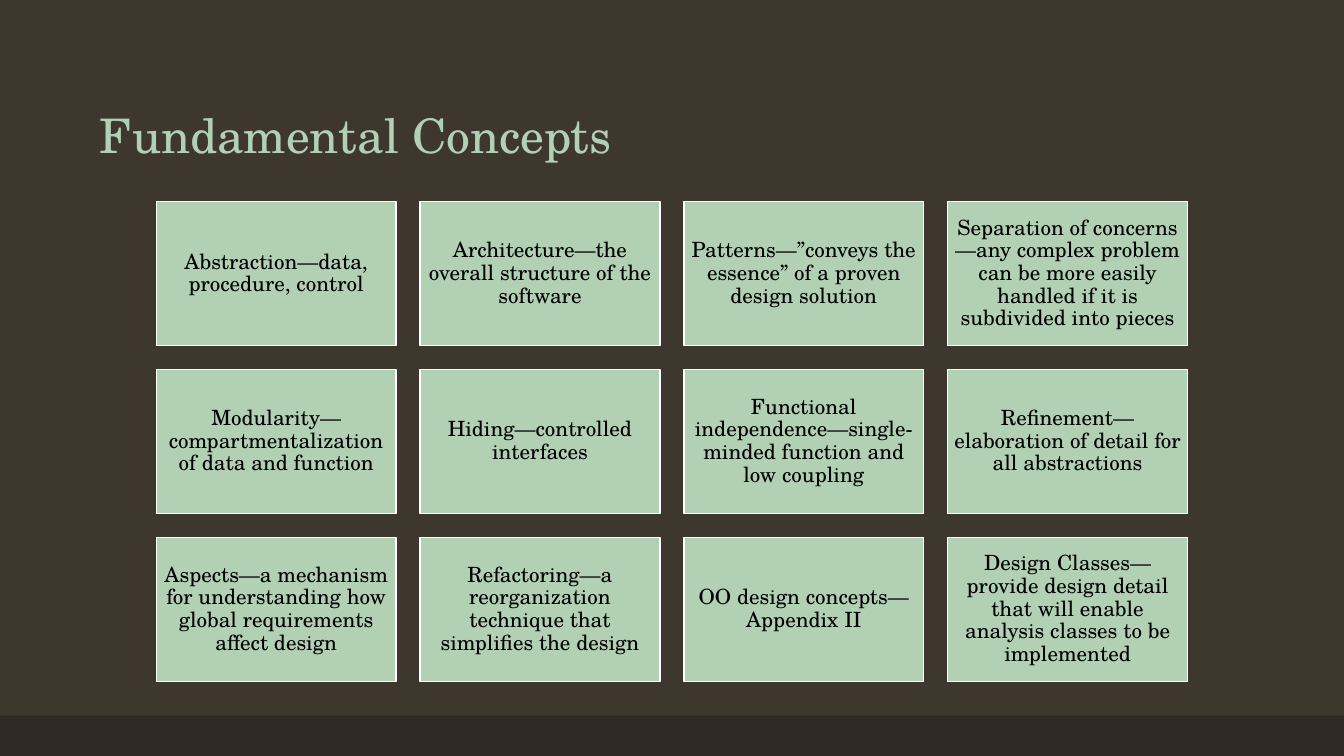
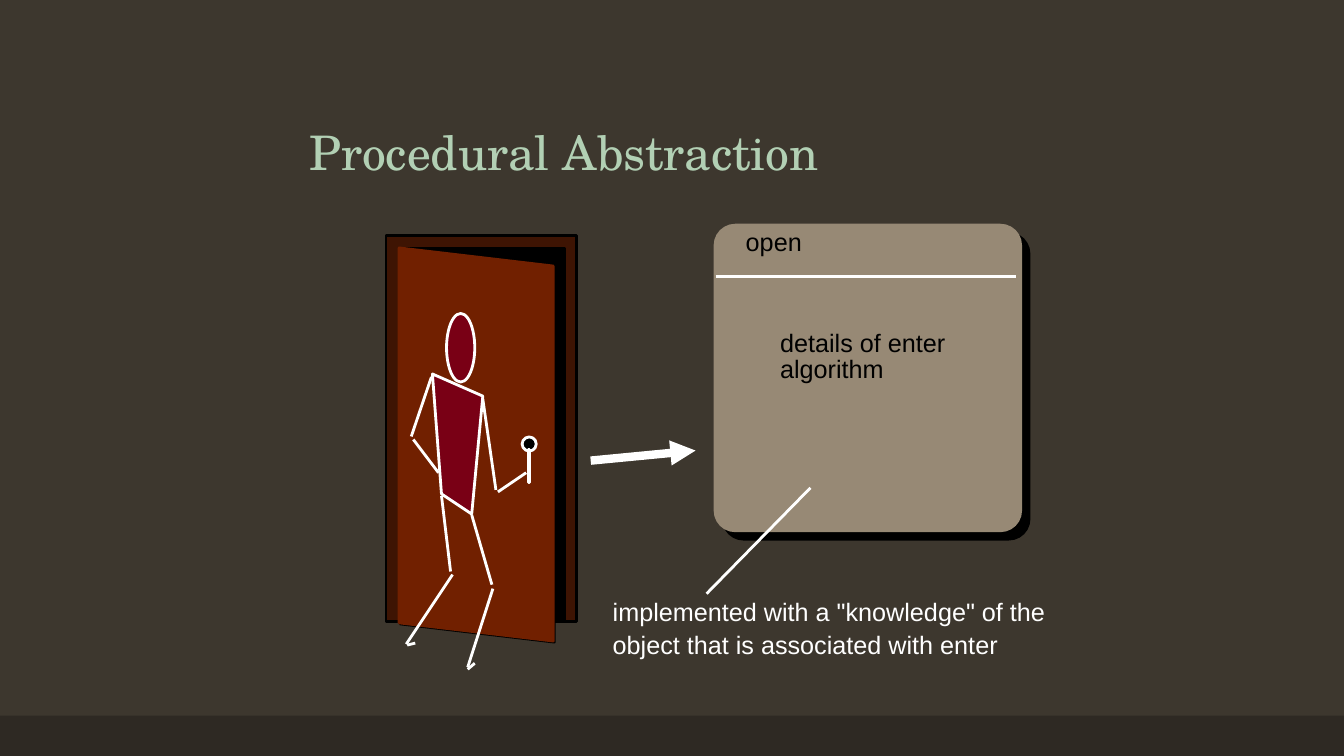
from dataclasses import dataclass
from itertools import pairwise

from lxml.etree import SubElement
from pptx import Presentation
from pptx.dml.color import RGBColor as RGB
from pptx.enum.shapes import MSO_CONNECTOR as Link, MSO_SHAPE as Kind
from pptx.enum.text import MSO_ANCHOR as Anchor, PP_ALIGN as Align
from pptx.oxml.ns import qn
from pptx.util import Inches, Pt


@dataclass(frozen=True)
class Theme:
    # Colours
    ground: str = "3D372E"
    band: str = "2E2923"
    mint: str = "B2D0B4"
    white: str = "FFFFFF"
    black: str = "000000"
    frame: str = "3E1403"
    door: str = "712000"
    body: str = "790015"
    panel: str = "978975"
    # Fonts, type sizes and line widths
    serif: str = "TeX Gyre Schola"
    sans: str = "Arial"
    title: int = 34
    card: int = 15
    label: int = 18
    thin: int = 1
    line: int = 2
    thick: int = 6


T = Theme()

# The slide is a grid of square cells, 75 rows high
WIDE, HIGH = 133.33, 75
CELL = Inches(7.5) / HIGH

CARDS = [
    "Abstraction—data, procedure, control",
    "Architecture—the overall structure of the software",
    "Patterns—”conveys the essence” of a proven design solution",
    "Separation of concerns—any complex problem can be more easily "
    "handled if it is subdivided into pieces",
    "Modularity—compartmentalization of data and function",
    "Hiding—controlled interfaces",
    "Functional independence—single-minded function and low coupling",
    "Refinement—elaboration of detail for all abstractions",
    "Aspects—a mechanism for understanding how global requirements "
    "affect design",
    "Refactoring—a reorganization technique that simplifies the design",
    "OO design concepts—Appendix II",
    "Design Classes—provide design detail that will enable analysis "
    "classes to be implemented",
]

# Limbs as pairs of points, in cells
LIMBS = [
    ((47.9, 39.6), (49.2, 48.6)),  # right arm
    ((49.4, 48.8), (52.2, 46.9)),
    ((42.8, 37.4), (40.8, 43.3)),  # left arm
    ((41, 43.6), (43.5, 46.9)),
    ((46.8, 51.1), (48.8, 58)),  # right leg
    ((48.9, 58.4), (46.4, 66.2)),
    ((46.4, 66.4), (47.1, 65.8)),
    ((43.8, 49.2), (44.7, 56.7)),  # left leg
    ((44.9, 57), (40.3, 63.9)),
    ((40.4, 64), (41.2, 63.8)),
]


def grid(*cells):
    return [round(c * CELL) for c in cells]


# Basic elements
def paint(shape, fill=None, line=None, width=T.line):
    shape.shadow.inherit = False
    for part, tone in ((shape.fill, fill), (shape.line.fill, line)):
        if tone:
            part.solid()
            part.fore_color.rgb = RGB.from_string(tone)
        else:
            part.background()
    if line:
        shape.line.width = Pt(width)
    return shape


def block(slide, box, fill=None, line=None, kind=Kind.RECTANGLE,
          width=T.line, round_by=None):
    shape = slide.shapes.add_shape(kind, *grid(*box))
    if round_by:
        shape.adjustments[0] = round_by
    return paint(shape, fill, line, width)


def outline(slide, points, fill=None, line=None):
    start, *rest = [grid(*p) for p in points]
    path = slide.shapes.build_freeform(*start, scale=1.0)
    path.add_line_segments(rest, close=True)
    return paint(path.convert_to_shape(), fill, line)


def stroke(slide, start, end, width=T.line, arrow=False):
    link = slide.shapes.add_connector(Link.STRAIGHT, *grid(*start, *end))
    link.line.color.rgb = RGB.from_string(T.white)
    link.line.width = Pt(width)
    if arrow:
        SubElement(link.line._get_or_add_ln(), qn("a:tailEnd"),
                   type="triangle")
    SubElement(link._element.spPr, qn("a:effectLst"))


def write(shape, text, size, font, tone, pad, gap=1.0,
          anchor=Anchor.TOP, align=Align.LEFT):
    frame = shape.text_frame
    frame.word_wrap = True
    frame.vertical_anchor = anchor
    side, edge = pad
    frame.margin_left = frame.margin_right = Inches(side)
    frame.margin_top = frame.margin_bottom = Inches(edge)
    para = frame.paragraphs[0]
    para.text, para.alignment, para.line_spacing = text, align, gap
    para.font.size, para.font.name = Pt(size), font
    para.font.color.rgb = RGB.from_string(tone)


# Elements of this deck
def page(deck, title, box):
    slide = deck.slides.add_slide(deck.slide_layouts[6])
    block(slide, (0, 71, WIDE, 4), T.band)
    head = slide.shapes.add_textbox(*grid(*box))
    write(head, title, T.title, T.serif, T.mint, (0.07, 0.03), 0.9,
          Anchor.BOTTOM)
    return slide


def label(slide, text, box, tone=T.black, gap=1.0):
    note = slide.shapes.add_textbox(*grid(*box))
    write(note, text, T.label, T.sans, tone, (0.1, 0.05), gap)


def cards(slide, cols=4):
    for n, text in enumerate(CARDS):
        row, col = divmod(n, cols)
        box = (15.5 + col * 26.17, 20 + row * 16.65, 23.8, 14.3)
        card = block(slide, box, T.mint, T.white, width=T.thin)
        write(card, text, T.card, T.serif, T.black, (0.06, 0.06), 0.9,
              Anchor.MIDDLE, Align.CENTER)


def door(slide):
    block(slide, (38.3, 23.4, 18.9, 38.3), T.frame, T.black)
    block(slide, (39.6, 24.6, 16.4, 37.1), T.black, T.black)
    leaf = [(39.6, 24.6), (54.9, 26.4), (54.9, 63.6), (39.6, 61.8)]
    outline(slide, [(x + 0.1, y + 0.1) for x, y in leaf], line=T.black)
    outline(slide, leaf, T.door, T.door)
    # Knob and key
    block(slide, (51.8, 43.35, 1.4, 1.4), T.black, T.white, Kind.OVAL)
    block(slide, (52.4, 44.6, 0.1, 3.3), T.black, T.white)


def person(slide):
    block(slide, (44.3, 31.1, 2.8, 6.8), T.body, T.white, Kind.OVAL)
    trunk = [(42.9, 37.1), (47.9, 39.3), (46.8, 51), (43.8, 49)]
    outline(slide, trunk, T.body, T.white)
    for start, end in LIMBS:
        stroke(slide, start, end)


def panel(slide):
    left, top, side, drop = 70.8, 22.2, 30.6, 0.83
    for shift, tone in ((drop, T.black), (0, T.panel)):
        block(slide, (left + shift, top + shift, side, side), tone,
              kind=Kind.ROUNDED_RECTANGLE, round_by=0.07)
    stroke(slide, (71, 27.4), (100.8, 27.4))
    label(slide, "open", (73, 22, 10, 4))
    label(slide, "details of enter algorithm", (76.4, 32.4, 22, 6.5),
          gap=0.87)


def main():
    deck = Presentation()
    deck.slide_width, deck.slide_height = grid(WIDE, HIGH)
    back = deck.slide_master.background.fill
    back.solid()
    back.fore_color.rgb = RGB.from_string(T.ground)

    # Concepts
    slide = page(deck, "Fundamental Concepts", (9.2, 4, 115, 12.5))
    cards(slide)

    # Abstraction
    slide = page(deck, "Procedural Abstraction", (30, 12.5, 60, 5.7))
    stroke(slide, (58.6, 45.7), (69, 44.7), T.thick, arrow=True)
    door(slide)
    person(slide)
    panel(slide)
    stroke(slide, (80.4, 48.4), (70.1, 58.9))
    label(slide, 'implemented with a "knowledge" of the object that is '
          "associated with enter", (59.8, 58.3, 47, 7.2), T.white, 1.11)

    deck.save("out.pptx")


if __name__ == "__main__":
    main()
